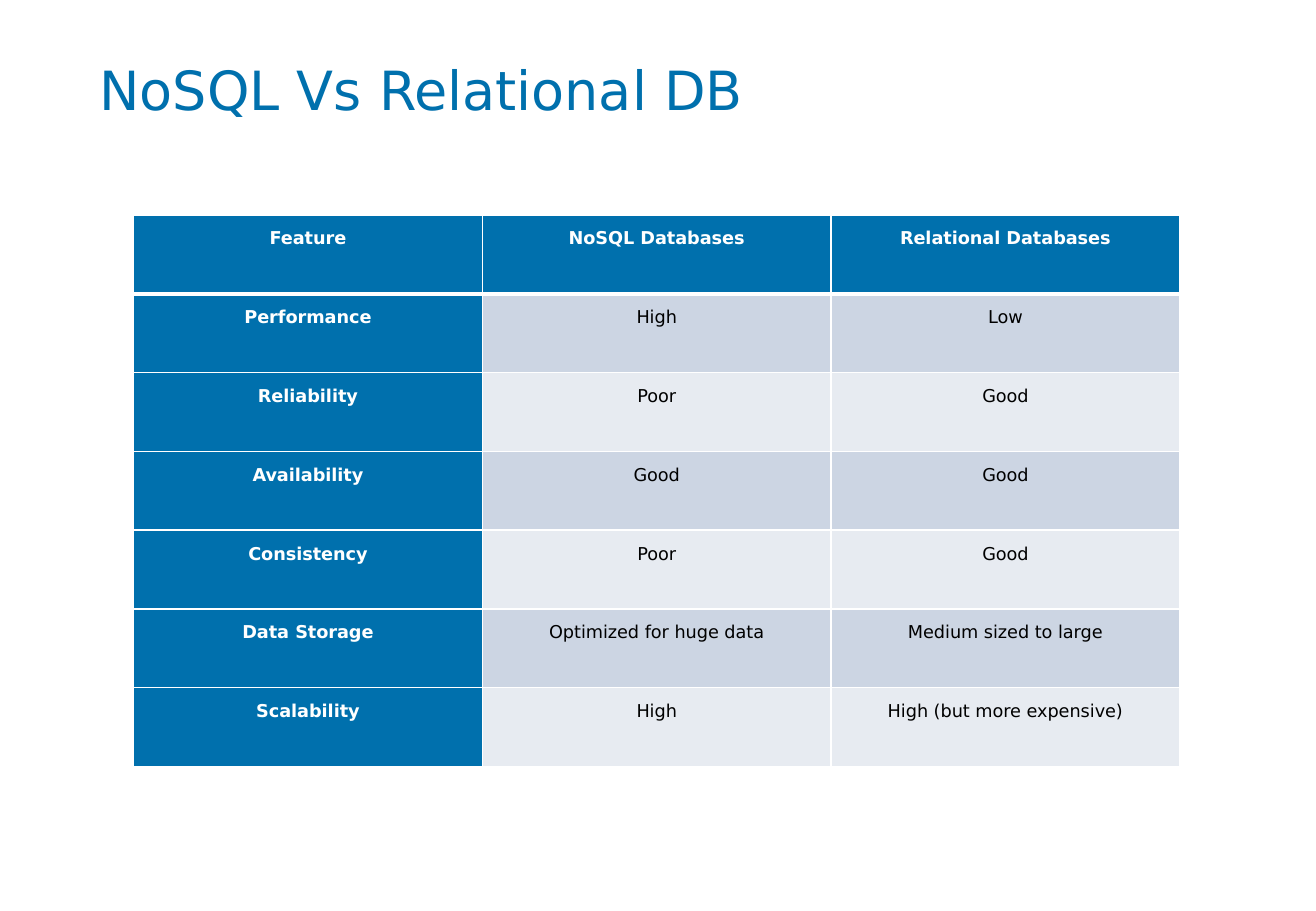
import dataclasses
import typing

import lxml.etree
import pptx
import pptx.dml.color
import pptx.enum.text
import pptx.oxml.ns
import pptx.util

Inches = pptx.util.Inches
Pt = pptx.util.Pt
RGBColor = pptx.dml.color.RGBColor

BLUE = RGBColor(0x00, 0x70, 0xAD)
WHITE = RGBColor(0xFF, 0xFF, 0xFF)
BLACK = RGBColor(0x00, 0x00, 0x00)
BANDS = (RGBColor(0xCC, 0xD5, 0xE3), RGBColor(0xE7, 0xEB, 0xF1))
FONT = "DejaVu Sans"
MIDDLE = pptx.enum.text.MSO_ANCHOR.MIDDLE
TOP = pptx.enum.text.MSO_ANCHOR.TOP
CENTER = pptx.enum.text.PP_ALIGN.CENTER


@dataclasses.dataclass(frozen=True)
class Feature:
    name: str
    nosql: str
    relational: str


FEATURES = (
    Feature("Feature", "NoSQL Databases", "Relational Databases"),
    Feature("Performance", "High", "Low"),
    Feature("Reliability", "Poor", "Good"),
    Feature("Availability", "Good", "Good"),
    Feature("Consistency", "Poor", "Good"),
    Feature("Data Storage", "Optimized for huge data", "Medium sized to large"),
    Feature("Scalability", "High", "High (but more expensive)"),
)


def set_all(target: typing.Any, values: dict[str, typing.Any]) -> None:
    for name, value in values.items():
        setattr(target, name, value)


def add_run(p: typing.Any, text: str, size: float, color: RGBColor, bold: bool) -> None:
    r = p.add_run()
    r.text = text
    set_all(r.font, {"name": FONT, "size": Pt(size), "bold": bold})
    r.font.color.rgb = color


def add_border(cell: typing.Any, side: str, width: float) -> None:
    qn = pptx.oxml.ns.qn
    tc_pr = cell._tc.get_or_add_tcPr()
    ln = lxml.etree.SubElement(tc_pr, qn(f"a:ln{side}"), w=str(Pt(width)))
    fill = lxml.etree.SubElement(ln, qn("a:solidFill"))
    lxml.etree.SubElement(fill, qn("a:srgbClr"), val=str(WHITE))


def add_title(s: typing.Any, text: str) -> None:
    sp = s.shapes.add_textbox(Inches(0.72), Inches(0.29), Inches(9), Inches(0.88))
    tf = sp.text_frame
    set_all(tf, {"word_wrap": True, "vertical_anchor": MIDDLE})
    add_run(tf.paragraphs[0], text, 32, BLUE, False)


def fill_cell(cell: typing.Any, text: str, row: int, col: int) -> None:
    is_header = row == 0 or col == 0
    widths = {"L": 1, "R": 1, "T": 3 if row == 1 else 1, "B": 3 if row == 0 else 1}
    for side, width in widths.items():
        add_border(cell, side, width)
    set_all(cell, {
        "margin_left": Inches(0.05),
        "margin_right": Inches(0.05),
        "margin_top": Inches(0.1),
        "margin_bottom": Inches(0.1),
        "vertical_anchor": TOP,
    })
    cell.fill.solid()
    cell.fill.fore_color.rgb = BLUE if is_header else BANDS[(row - 1) % 2]
    p = cell.text_frame.paragraphs[0]
    set_all(p, {"alignment": CENTER, "line_spacing": 1.07})
    add_run(p, text, 10.5, WHITE if is_header else BLACK, is_header)


def add_comparison(s: typing.Any, features: tuple[Feature, ...]) -> None:
    frame = s.shapes.add_table(
        len(features), 3, Inches(1.1), Inches(1.77), Inches(8.61), Inches(4.54)
    )
    table = frame.table
    set_all(table, {"first_row": True, "first_col": True, "horz_banding": True})
    for row, feature in enumerate(features):
        for col, text in enumerate(dataclasses.astuple(feature)):
            fill_cell(table.cell(row, col), text, row, col)


def main() -> None:
    prs = pptx.Presentation()
    set_all(prs, {"slide_width": Inches(10.83), "slide_height": Inches(7.5)})
    s = prs.slides.add_slide(prs.slide_layouts[6])
    add_title(s, "NoSQL Vs Relational DB")
    add_comparison(s, FEATURES)
    prs.save("out.pptx")


if __name__ == "__main__":
    main()
